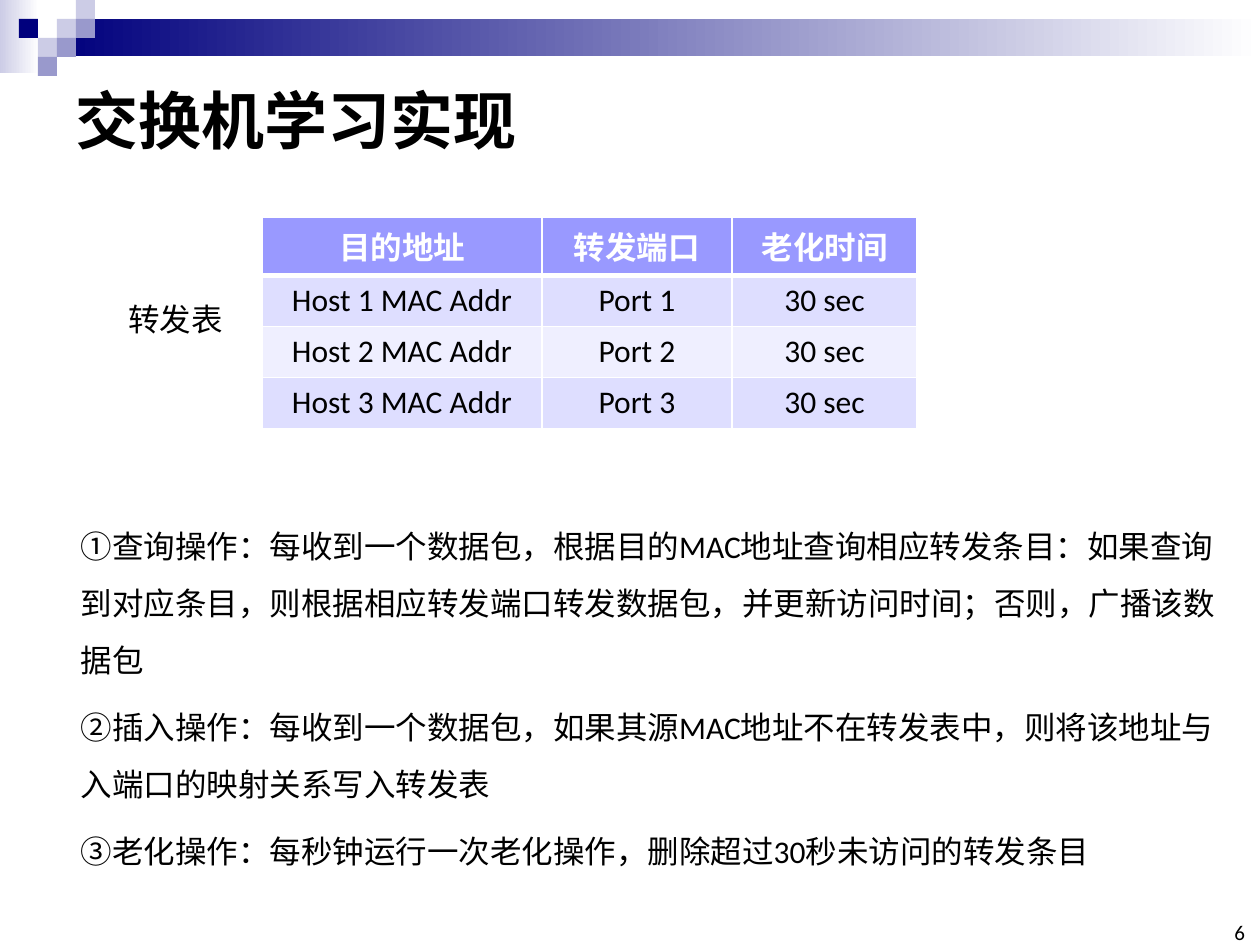
from lxml.etree import SubElement
from pptx import Presentation
from pptx.dml.color import RGBColor
from pptx.enum.shapes import MSO_SHAPE
from pptx.enum.text import MSO_ANCHOR, MSO_AUTO_SIZE, PP_ALIGN
from pptx.oxml.ns import qn
from pptx.util import Pt

PX = 914400 / 126
COLORS = {
    "navy": "00007D", "mid": "9999CC", "pale": "CCCCE6", "white": "FFFFFF",
    "black": "000000", "header": "9999FF", "odd": "DEDEFF", "even": "EFEFFF",
}


def box(*lengths):
    """Turn px lengths into EMU."""
    return [round(length * PX) for length in lengths]


def style(paragraph, size, color="black", bold=False, align=PP_ALIGN.LEFT):
    paragraph.alignment = align
    for run in paragraph.runs:
        run.font.name = "Calibri"
        run.font.size = Pt(size)
        run.font.bold = bold
        run.font.color.rgb = RGBColor.from_string(COLORS[color])


prs = Presentation()
prs.slide_width, prs.slide_height = box(1260, 945)
slide = prs.slides.add_slide(prs.slide_layouts[1])
shapes = slide.shapes
title, operations = slide.placeholders

# Banner: two gradient bars, then squares on a grid
for bounds, start in [((0, 0, 39, 73), "pale"), ((57, 19, 1203, 37), "navy")]:
    bar = shapes.add_shape(MSO_SHAPE.RECTANGLE, *box(*bounds))
    bar.shadow.inherit = False
    bar.line.fill.background()
    bar.fill.gradient()
    bar.fill.gradient_angle = 0
    for stop, color in zip(bar.fill.gradient_stops, (start, "white")):
        stop.color.rgb = RGBColor.from_string(COLORS[color])

SQUARE = 19
banner_squares = [
    (3, 1, "pale"), (4, 0, "pale"), (4, 1, "mid"), (2, 2, "pale"),
    (1, 1, "navy"), (3, 2, "mid"), (2, 3, "mid"),
]
for column, row, color in banner_squares:
    square = shapes.add_shape(
        MSO_SHAPE.RECTANGLE, *box(column * SQUARE, row * SQUARE, SQUARE, SQUARE))
    square.shadow.inherit = False
    square.line.fill.background()
    square.fill.solid()
    square.fill.fore_color.rgb = RGBColor.from_string(COLORS[color])

# Title
title.left, title.top, title.width, title.height = box(63, 63, 1134, 112)
title.text_frame.text = "交换机学习实现"
title.text_frame.vertical_anchor = MSO_ANCHOR.MIDDLE
style(title.text_frame.paragraphs[0], 36, bold=True)

# Forwarding table
entries = [["目的地址", "转发端口", "老化时间"]]
entries += [[f"Host {n} MAC Addr", f"Port {n}", "30 sec"] for n in (1, 2, 3)]
forwarding = shapes.add_table(4, 3, *box(262, 217, 655, 204)).table
for column, width in zip(forwarding.columns, box(280, 190, 185)):
    column.width = width
for r, entry in enumerate(entries):
    forwarding.rows[r].height = box(51)[0]
    fill = "header" if r == 0 else "odd" if r % 2 else "even"
    for c, value in enumerate(entry):
        cell = forwarding.cell(r, c)
        cell.text_frame.text = value
        style(cell.text_frame.paragraphs[0], 18, "black" if r else "white",
              bold=r == 0, align=PP_ALIGN.CENTER)
        properties = cell._tc.get_or_add_tcPr()
        for side in ("lnL", "lnR", "lnT", "lnB"):
            under_header = (r, side) in ((0, "lnB"), (1, "lnT"))
            border = SubElement(properties, qn(f"a:{side}"),
                                w=str(Pt(3 if under_header else 1)))
            SubElement(SubElement(border, qn("a:solidFill")),
                       qn("a:srgbClr"), val=COLORS["white"])
        cell.fill.solid()
        cell.fill.fore_color.rgb = RGBColor.from_string(COLORS[fill])

table_label = shapes.add_textbox(*box(116, 294, 121, 50)).text_frame
table_label.word_wrap = False
table_label.auto_size = MSO_AUTO_SIZE.SHAPE_TO_FIT_TEXT
table_label.text = "转发表"
style(table_label.paragraphs[0], 18)

# Operations
operations.left, operations.top, operations.width, operations.height = box(
    68, 502, 1163, 370)
operations.text_frame.text = "\n".join([
    "①查询操作：每收到一个数据包，根据目的MAC地址查询相应转发条目：如果查询到对应条目，"
    "则根据相应转发端口转发数据包，并更新访问时间；否则，广播该数据包",
    "②插入操作：每收到一个数据包，如果其源MAC地址不在转发表中，则将该地址与入端口的映射关系写入转发表",
    "③老化操作：每秒钟运行一次老化操作，删除超过30秒未访问的转发条目",
])
operations.text_frame.auto_size = MSO_AUTO_SIZE.NONE
for paragraph in operations.text_frame.paragraphs:
    style(paragraph, 18)
    paragraph.line_spacing = 1.5
    paragraph.space_before = Pt(6)
    properties = paragraph._p.get_or_add_pPr()
    properties.set("marL", "0")
    properties.set("indent", "0")
    SubElement(properties, qn("a:buNone"))

# Page number
page_number = shapes.add_textbox(*box(1216, 924, 29, 21)).text_frame
page_number.margin_left = page_number.margin_right = 0
page_number.margin_top = page_number.margin_bottom = 0
page_number.vertical_anchor = MSO_ANCHOR.BOTTOM
page_number.text = "6"
style(page_number.paragraphs[0], 12, align=PP_ALIGN.RIGHT)

prs.save("out.pptx")
